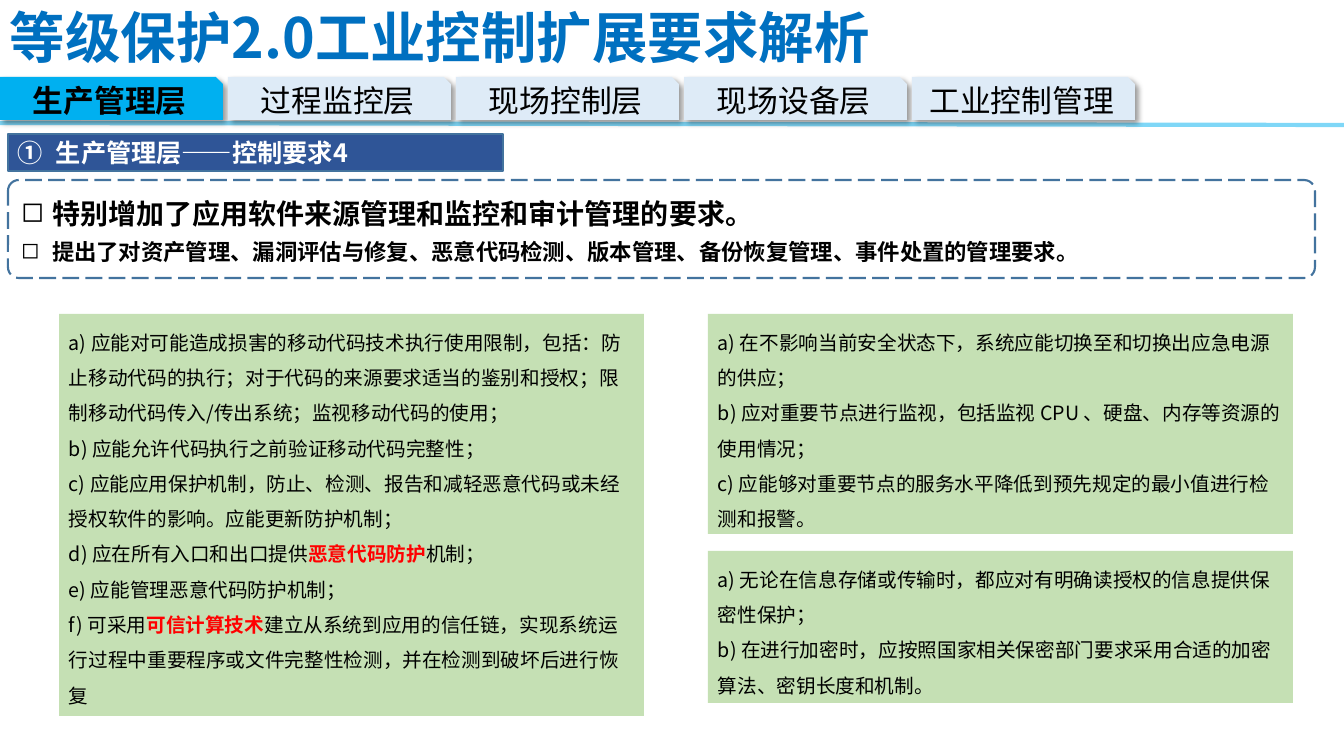
"""Build the slide on industrial control requirements of the production management layer."""
from lxml import etree
from pptx import Presentation, util as u
from pptx.dml.color import RGBColor
from pptx.enum import dml, shapes, text
from pptx.oxml.ns import qn

TITLE = "等级保护2.0工业控制扩展要求解析"
LAYERS = ["生产管理层", "过程监控层", "现场控制层", "现场设备层", "工业控制管理"]
HEADING = "生产管理层——控制要求4"
HIGHLIGHTS = [
    ("特别增加了应用软件来源管理和监控和审计管理的要求。", 20, 6),
    ("提出了对资产管理、漏洞评估与修复、恶意代码检测、版本管理、备份恢复管理、事件处置的管理要求。", 16, 0),
]
REQUIREMENTS = [
    ((59, 314, 585, 402), [
        ["a) 应能对可能造成损害的移动代码技术执行使用限制，包括：防止移动代码的执行；对于代码的来源要求适当的鉴别和授权；限制移动代码传入/传出系统；监视移动代码的使用；"],
        ["b) 应能允许代码执行之前验证移动代码完整性；"],
        ["c) 应能应用保护机制，防止、检测、报告和减轻恶意代码或未经授权软件的影响。应能更新防护机制；"],
        ["d) 应在所有入口和出口提供", "恶意代码防护", "机制；"],
        ["e) 应能管理恶意代码防护机制；"],
        ["f) 可采用", "可信计算技术", "建立从系统到应用的信任链，实现系统运行过程中重要程序或文件完整性检测，并在检测到破坏后进行恢复"],
    ]),
    ((708, 314, 585, 220), [
        ["a) 在不影响当前安全状态下，系统应能切换至和切换出应急电源的供应；"],
        ["b) 应对重要节点进行监视，包括监视 CPU 、硬盘、内存等资源的使用情况；"],
        ["c) 应能够对重要节点的服务水平降低到预先规定的最小值进行检测和报警。"],
    ]),
    ((708, 551, 585, 152), [
        ["a) 无论在信息存储或传输时，都应对有明确读授权的信息提供保密性保护；"],
        ["b) 在进行加密时，应按照国家相关保密部门要求采用合适的加密算法、密钥长度和机制。"],
    ]),
]

FONT = "Noto Sans CJK SC"
BLACK = RGBColor(0x00, 0x00, 0x00)
WHITE = RGBColor(0xFF, 0xFF, 0xFF)
RED = RGBColor(0xFF, 0x00, 0x00)
TITLE_BLUE = RGBColor(0x00, 0x70, 0xC0)
CYAN = RGBColor(0x00, 0xB0, 0xF0)
PALE_BLUE = RGBColor(0xDE, 0xEB, 0xF7)
NAVY = RGBColor(0x2F, 0x55, 0x97)
EDGE_BLUE = RGBColor(0x43, 0x73, 0x9E)
GREEN = RGBColor(0xC5, 0xE0, 0xB4)

TAB_PITCH, TAB_WIDTH = 228, 223
SHAPE = shapes.MSO_SHAPE
ALIGN = text.PP_ALIGN
MIDDLE = text.MSO_ANCHOR.MIDDLE


def px(length):
    return u.Emu(round(length * u.Inches(1) / 100.8))


def add_xml(parent, tag, **attributes):
    return etree.SubElement(parent, qn(tag), attributes)


def add_box(slide, preset, place, fill=None, edge=None, edge_width=1):
    box = slide.shapes.add_shape(preset, *map(px, place))
    box.shadow.inherit = False
    if fill is None:
        box.fill.background()
    else:
        box.fill.solid()
        box.fill.fore_color.rgb = fill
    if edge is None:
        box.line.fill.background()
    else:
        box.line.color.rgb = edge
        box.line.width = u.Pt(edge_width)
    box.text_frame.word_wrap = True
    return box


def cast_shadow(box):
    effects = box._element.spPr.find(qn("a:effectLst"))
    shadow = add_xml(effects, "a:outerShdw", blurRad=str(u.Pt(4)), dist=str(u.Pt(3)),
                     dir="2700000", algn="tl", rotWithShape="0")
    add_xml(add_xml(shadow, "a:srgbClr", val="000000"), "a:alpha", val="40000")


def add_bullet(paragraph, indent, tag, **attributes):
    properties = paragraph._p.get_or_add_pPr()
    properties.set("marL", str(px(indent)))
    properties.set("indent", str(-px(indent)))
    add_xml(properties, tag, **attributes)


def style(run, size, color=BLACK, bold=False):
    run.font.size = u.Pt(size)
    run.font.bold = bold
    run.font.color.rgb = color
    run.font.name = FONT
    latin = run._r.rPr.find(qn("a:latin"))
    latin.addnext(latin.makeelement(qn("a:ea"), {"typeface": FONT}))


def set_line(box, words, align, size, color=BLACK, bold=False):
    box.text_frame.vertical_anchor = MIDDLE
    box.text_frame.text = words
    paragraph = box.text_frame.paragraphs[0]
    paragraph.alignment = align
    style(paragraph.runs[0], size, color, bold)
    return paragraph


def paragraph_at(frame, index):
    return frame.add_paragraph() if index else frame.paragraphs[0]


def add_header(slide):
    rule = slide.shapes.add_connector(shapes.MSO_CONNECTOR.STRAIGHT,
                                      px(0), px(123), px(1344), px(125))
    rule.line.color.rgb = CYAN
    rule.line.width = u.Pt(3)
    add_xml(rule._element.spPr.find(".//" + qn("a:srgbClr")), "a:alpha", val="50000")
    add_xml(rule._element.spPr, "a:effectLst")

    title = slide.shapes.add_textbox(*map(px, (0, 1, 953, 76)))
    title.text_frame.word_wrap = True
    title.text_frame.margin_bottom = px(11)
    set_line(title, TITLE, ALIGN.JUSTIFY, 39.6, TITLE_BLUE, True)

    for index, layer in enumerate(LAYERS):
        current = index == 0
        tab = add_box(slide, SHAPE.SNIP_1_RECTANGLE, (index * TAB_PITCH, 77, TAB_WIDTH, 43),
                      CYAN if current else PALE_BLUE)
        cast_shadow(tab)
        set_line(tab, layer, ALIGN.CENTER, 22, bold=current)


def add_summary(slide):
    heading = add_box(slide, SHAPE.RECTANGLE, (8, 134, 495, 37), NAVY, EDGE_BLUE)
    line = set_line(heading, HEADING, ALIGN.JUSTIFY, 18, WHITE, True)
    add_bullet(line, 38, "a:buAutoNum", type="circleNumDbPlain")

    highlights = add_box(slide, SHAPE.ROUNDED_RECTANGLE, (8, 180, 1307, 98), None, EDGE_BLUE, 1.5)
    highlights.adjustments[0] = 0.11
    highlights.line.dash_style = dml.MSO_LINE.LONG_DASH
    frame = highlights.text_frame
    frame.vertical_anchor = MIDDLE
    frame.margin_top = px(9)
    for index, (words, size, gap) in enumerate(HIGHLIGHTS):
        paragraph = paragraph_at(frame, index)
        paragraph.text = words
        paragraph.alignment = ALIGN.JUSTIFY
        paragraph.line_spacing = u.Pt(size * 1.2)
        paragraph.space_after = u.Pt(gap)
        add_bullet(paragraph, 31, "a:buChar", char="◻")
        style(paragraph.runs[0], size, bold=True)


def add_requirements(slide):
    for place, clauses in REQUIREMENTS:
        frame = add_box(slide, SHAPE.RECTANGLE, place, GREEN).text_frame
        frame.vertical_anchor = text.MSO_ANCHOR.TOP
        for index, pieces in enumerate(clauses):
            paragraph = paragraph_at(frame, index)
            paragraph.alignment = ALIGN.LEFT
            paragraph.line_spacing = u.Pt(25.2)
            for position, piece in enumerate(pieces):
                run = paragraph.add_run()
                run.text = piece
                key_term = position == 1
                style(run, 14, RED if key_term else BLACK, key_term)


def main():
    deck = Presentation()
    deck.slide_width, deck.slide_height = px(1344), px(756)
    slide = deck.slides.add_slide(deck.slide_layouts[6])
    add_header(slide)
    add_summary(slide)
    add_requirements(slide)
    deck.save("out.pptx")


if __name__ == "__main__":
    main()
